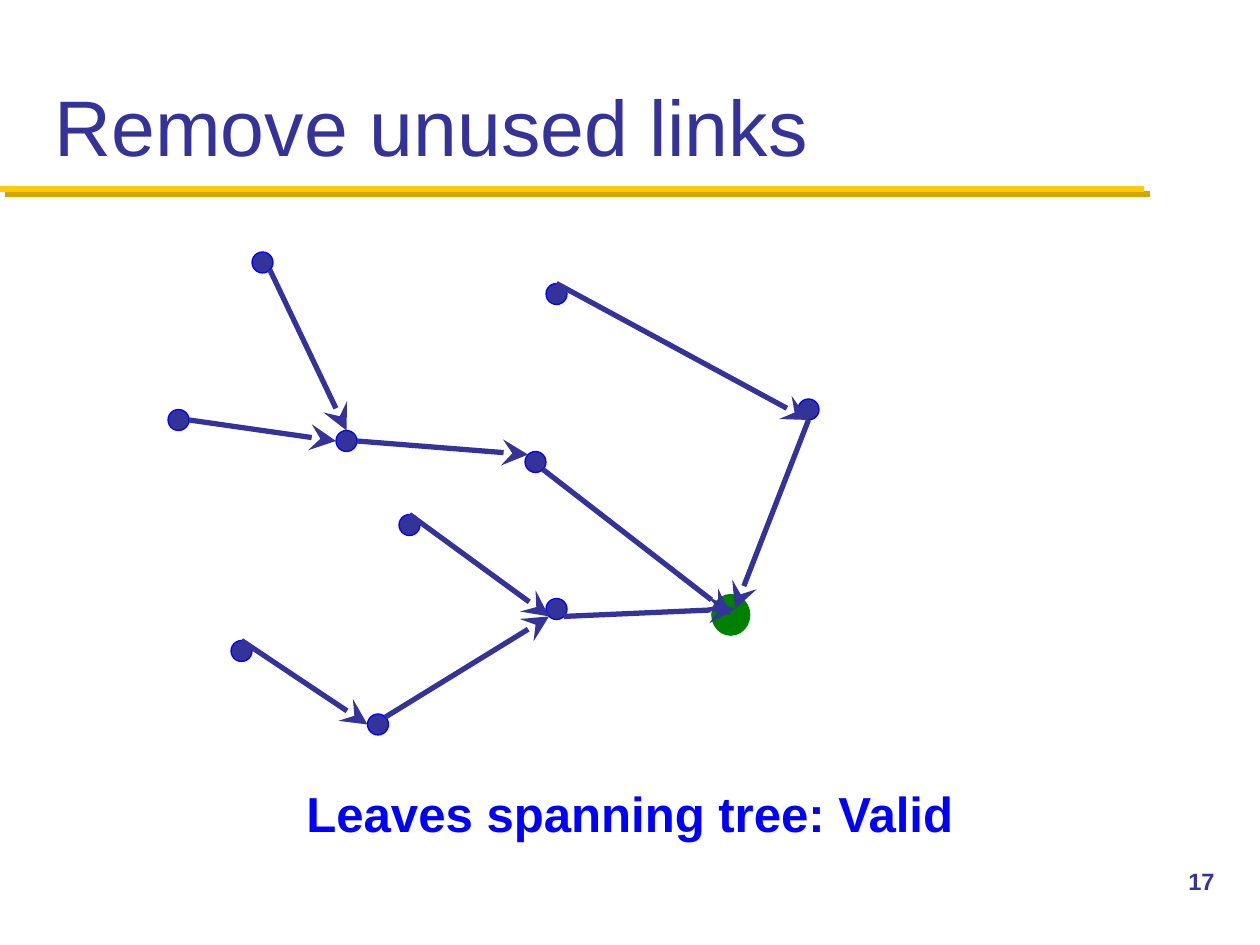
from typing import NamedTuple

import pptx
import pptx.dml.color
import pptx.enum.shapes
import pptx.enum.text
import pptx.oxml
import pptx.oxml.ns
import pptx.util

Pt = pptx.util.Pt
Align = pptx.enum.text.PP_ALIGN
Anchor = pptx.enum.text.MSO_ANCHOR

COLORS = {
    "navy": "333399",
    "blue": "0000FF",
    "green": "008000",
    "gold": "FFCB05",
    "shade": "D3A600",
}
NODE_SIZE = 12
DIAGONAL = 0.146  # inset of a circle's diagonal point, as a share of its size
SITES = {
    "top": (0.5, 0),
    "left": (0, 0.5),
    "bottom": (0.5, 1),
    "right": (1, 0.5),
    "top left": (DIAGONAL, DIAGONAL),
    "top right": (1 - DIAGONAL, DIAGONAL),
    "bottom left": (DIAGONAL, 1 - DIAGONAL),
    "bottom right": (1 - DIAGONAL, 1 - DIAGONAL),
}


class Point(NamedTuple):
    x: float
    y: float


class Link(NamedTuple):
    start: str
    start_site: str
    end: Point


NODES = {
    "north": Point(144, 144),
    "west": Point(96, 234),
    "north east": Point(312, 162),
    "south hub": Point(312, 342),
    "south": Point(210, 408),
    "west hub": Point(192, 246),
    "east": Point(456, 228),
    "middle": Point(228, 294),
    "south west": Point(132, 366),
    "center": Point(300, 258),
}
ROOT_CENTER = Point(417.6, 351.4)
ROOT_ENTRY = Point(420, 348)


def site(node: str, side: str) -> Point:
    """Return the point on a node's outline at the named side."""
    corner = NODES[node]
    across, down = SITES[side]
    return Point(corner.x + across * NODE_SIZE, corner.y + down * NODE_SIZE)


LINKS = [
    Link("north", "bottom right", site("west hub", "top")),
    Link("center", "bottom right", ROOT_CENTER),
    Link("north east", "top", site("east", "bottom")),
    Link("south west", "top", site("south", "left")),
    Link("middle", "top", site("south hub", "bottom left")),
    Link("south hub", "bottom right", ROOT_ENTRY),
    Link("west hub", "right", site("center", "top left")),
    Link("west", "right", site("west hub", "left")),
    Link("south", "top right", site("south hub", "bottom left")),
    Link("east", "bottom", ROOT_ENTRY),
]


def color(name: str) -> pptx.dml.color.RGBColor:
    return pptx.dml.color.RGBColor.from_string(COLORS[name])


def place(box, left: float, top: float, width: float, height: float) -> None:
    box.left, box.top, box.width, box.height = map(Pt, (left, top, width, height))


def write_text(box, text: str, *, size: float, ink: str, bold: bool = False,
               align=Align.LEFT, anchor=Anchor.TOP) -> None:
    frame = box.text_frame
    frame.word_wrap = True
    frame.auto_size = pptx.enum.text.MSO_AUTO_SIZE.NONE
    frame.vertical_anchor = anchor
    frame.margin_left = frame.margin_right = Pt(7.2)
    frame.margin_top = frame.margin_bottom = Pt(3.6)
    para = frame.paragraphs[0]
    para.alignment = align
    span = para.add_run()
    span.text = text
    span.font.name = "Arial"
    span.font.size = Pt(size)
    span.font.bold = bold
    span.font.color.rgb = color(ink)


def add_circle(page, corner: Point, width: float, height: float,
               fill: str, outline: str) -> None:
    circle = page.shapes.add_shape(
        pptx.enum.shapes.MSO_SHAPE.OVAL, *map(Pt, (*corner, width, height)))
    circle.shadow.inherit = False
    circle.fill.solid()
    circle.fill.fore_color.rgb = color(fill)
    circle.line.color.rgb = color(outline)
    circle.line.width = Pt(0.75)


def add_line(page, start: Point, end: Point, ink: str, width: float,
             arrow: bool = False, shadow: str = "") -> None:
    line = page.shapes.add_connector(
        pptx.enum.shapes.MSO_CONNECTOR.STRAIGHT, *map(Pt, (*start, *end)))
    line.line.color.rgb = color(ink)
    line.line.width = Pt(width)
    if arrow:
        head = pptx.oxml.parse_xml(
            f'<a:tailEnd {pptx.oxml.ns.nsdecls("a")} type="stealth" w="lg" len="lg"/>')
        line.line._get_or_add_ln().append(head)
    cast = ""
    if shadow:
        cast = (f'<a:outerShdw dist="{Pt(4.2)}" dir="2700000" algn="ctr" rotWithShape="0">'
                f'<a:srgbClr val="{COLORS[shadow]}"/></a:outerShdw>')
    effects = f'<a:effectLst {pptx.oxml.ns.nsdecls("a")}>{cast}</a:effectLst>'
    line._element.spPr.append(pptx.oxml.parse_xml(effects))


def main() -> None:
    deck = pptx.Presentation()
    deck.slide_width, deck.slide_height = Pt(720), Pt(540)
    page = deck.slides.add_slide(deck.slide_layouts[5])

    title = page.shapes.title
    place(title, 24, 12, 672, 90)
    write_text(title, "Remove unused links", size=45, ink="navy", anchor=Anchor.BOTTOM)
    add_line(page, Point(0, 108), Point(654, 108), "gold", 3.5, shadow="shade")

    add_circle(page, Point(406.8, 339.8), 21.6, 23.2, "green", "green")
    for corner in NODES.values():
        add_circle(page, corner, NODE_SIZE, NODE_SIZE, "navy", "blue")
    for link in LINKS:
        add_line(page, site(link.start, link.start_site), link.end, "navy", 3, arrow=True)

    caption = page.shapes.add_textbox(Pt(126), Pt(444), Pt(468), Pt(41))
    write_text(caption, "Leaves spanning tree: Valid", size=28.1, ink="blue",
               bold=True, align=Align.CENTER)
    number = page.shapes.add_textbox(Pt(672), Pt(492), Pt(48), Pt(36))
    write_text(number, "17", size=13.5, ink="navy", bold=True)

    deck.save("out.pptx")


if __name__ == "__main__":
    main()
